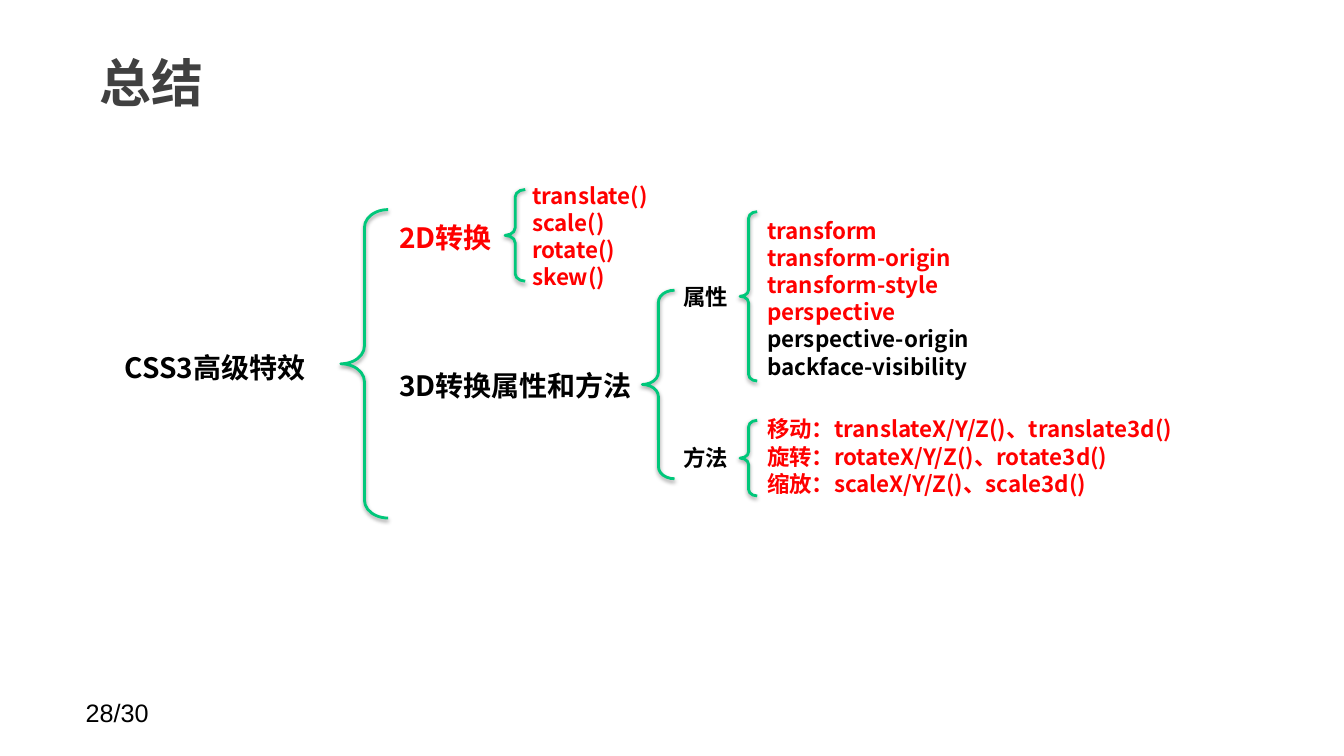
"""Build the summary slide: a brace tree of advanced CSS3 features."""
from dataclasses import dataclass
from typing import Any

import lxml.etree
import pptx
import pptx.dml.color
import pptx.enum.shapes
import pptx.enum.text
import pptx.oxml.ns
import pptx.util

Inches = pptx.util.Inches
Pt = pptx.util.Pt
Anchor = pptx.enum.text.MSO_ANCHOR

CJK = "Noto Sans CJK SC"
RED, BLACK, GREY, GREEN = "FF0000", "000000", "404040", "00C77A"
LABEL_HEIGHT = 0.4
LIST_PITCH = 19.4


@dataclass(frozen=True)
class Label:
    text: str
    left: float
    middle: float
    width: float
    size: int = 20
    color: str = BLACK
    font: str = CJK
    bold: bool = True


@dataclass(frozen=True)
class Branch:
    left: float
    top: float
    width: float
    height: float
    entries: tuple[tuple[str, str], ...]


@dataclass(frozen=True)
class Brace:
    left: float
    top: float
    width: float
    height: float


LABELS = (
    Label("CSS3高级特效", 1.14, 3.64, 2.3),
    Label("2D转换", 3.86, 2.35, 1.3, color=RED),
    Label("3D转换属性和方法", 3.86, 3.82, 2.78),
    Label("属性", 6.68, 2.94, 0.7, 16, font="Arial"),
    Label("方法", 6.68, 4.54, 0.7, 16, font="Arial"),
    Label("28/30", 0.75, 7.07, 2.33, 18, font="Arial", bold=False),
)

BRANCHES = (
    Branch(5.18, 1.75, 2.16, 1.18, (
        ("translate()", RED), ("scale()", RED), ("rotate()", RED), ("skew()", RED))),
    Branch(7.51, 2.1, 3.84, 1.72, (
        ("transform", RED), ("transform-origin", RED), ("transform-style", RED),
        ("perspective", RED), ("perspective-origin", BLACK), ("backface-visibility", BLACK))),
    Branch(7.51, 4.07, 4.66, 0.91, (
        ("移动：translateX/Y/Z()、translate3d()", RED),
        ("旋转：rotateX/Y/Z()、rotate3d()", RED),
        ("缩放：scaleX/Y/Z()、scale3d()", RED))),
)

BRACES = (
    Brace(3.38, 2.08, 0.47, 3.06),
    Brace(5.01, 1.88, 0.2, 0.91),
    Brace(6.37, 2.88, 0.32, 1.87),
    Brace(7.34, 2.1, 0.17, 1.68),
    Brace(7.34, 4.17, 0.17, 0.75),
)


def rgb(color: str) -> pptx.dml.color.RGBColor:
    return pptx.dml.color.RGBColor.from_string(color)


def apply(target: Any, formats: dict[str, Any]) -> None:
    for attribute, value in formats.items():
        setattr(target, attribute, value)


def add_run(paragraph: Any, text: str, size: int, color: str,
            font: str = CJK, bold: bool = True) -> None:
    run = paragraph.add_run()
    run.text = text
    apply(run.font, {"name": font, "size": Pt(size), "bold": bold})
    run.font.color.rgb = rgb(color)
    east_asian = lxml.etree.SubElement(run.font._element, pptx.oxml.ns.qn("a:ea"))
    east_asian.set("typeface", CJK)


def draw_title(slide: Any, text: str) -> None:
    title = slide.shapes.title
    apply(title, {"left": Inches(0.86), "top": Inches(0.3),
                  "width": Inches(10.41), "height": Inches(1.03)})
    frame = title.text_frame
    apply(frame, {"vertical_anchor": Anchor.MIDDLE, "word_wrap": True,
                  "margin_left": Inches(0.13), "margin_right": Inches(0.13),
                  "margin_top": Inches(0.06), "margin_bottom": Inches(0.06)})
    heading = frame.paragraphs[0]
    heading.alignment = pptx.enum.text.PP_ALIGN.LEFT
    add_run(heading, text, 37, GREY)


def draw_label(slide: Any, label: Label) -> None:
    box = slide.shapes.add_textbox(
        Inches(label.left), Inches(label.middle - LABEL_HEIGHT / 2),
        Inches(label.width), Inches(LABEL_HEIGHT))
    apply(box.text_frame, {"word_wrap": True, "vertical_anchor": Anchor.MIDDLE,
                           "margin_top": 0, "margin_bottom": 0})
    add_run(box.text_frame.paragraphs[0], label.text, label.size,
            label.color, label.font, label.bold)


def draw_branch(slide: Any, branch: Branch) -> None:
    frame = slide.shapes.add_textbox(
        Inches(branch.left), Inches(branch.top),
        Inches(branch.width), Inches(branch.height)).text_frame
    frame.word_wrap = True
    for index, (text, color) in enumerate(branch.entries):
        entry = frame.add_paragraph() if index else frame.paragraphs[0]
        entry.line_spacing = Pt(LIST_PITCH)
        add_run(entry, text, 16, color)


def draw_brace(slide: Any, brace: Brace) -> None:
    outline = slide.shapes.add_shape(
        pptx.enum.shapes.MSO_SHAPE.LEFT_BRACE, Inches(brace.left),
        Inches(brace.top), Inches(brace.width), Inches(brace.height))
    outline.adjustments[0] = 0.376
    outline.adjustments[1] = 0.5
    outline.fill.background()
    outline.line.color.rgb = rgb(GREEN)
    outline.line.width = Pt(2)
    outline.shadow.inherit = False
    qn = pptx.oxml.ns.qn
    effects = outline._element.spPr.find(qn("a:effectLst"))
    shadow = lxml.etree.SubElement(
        effects, qn("a:outerShdw"), blurRad=str(Pt(3.1)), dist=str(Pt(1.6)),
        dir="5400000", rotWithShape="0")
    tint = lxml.etree.SubElement(shadow, qn("a:srgbClr"), val=BLACK)
    lxml.etree.SubElement(tint, qn("a:alpha"), val="38000")


def main() -> None:
    deck = pptx.Presentation()
    apply(deck, {"slide_width": Inches(13.33), "slide_height": Inches(7.5)})
    slide = deck.slides.add_slide(deck.slide_layouts[5])
    draw_title(slide, "总结")
    for brace in BRACES:
        draw_brace(slide, brace)
    for label in LABELS:
        draw_label(slide, label)
    for branch in BRANCHES:
        draw_branch(slide, branch)
    deck.save("out.pptx")


if __name__ == "__main__":
    main()
